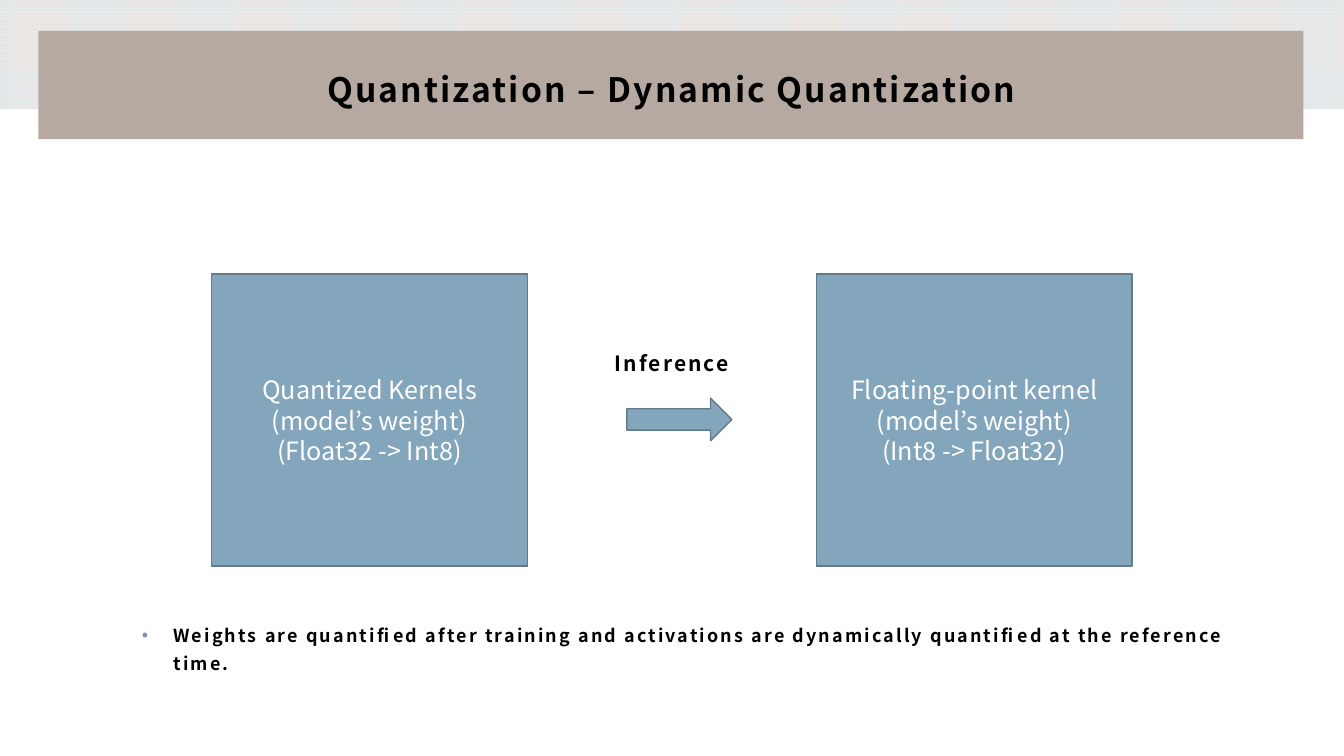
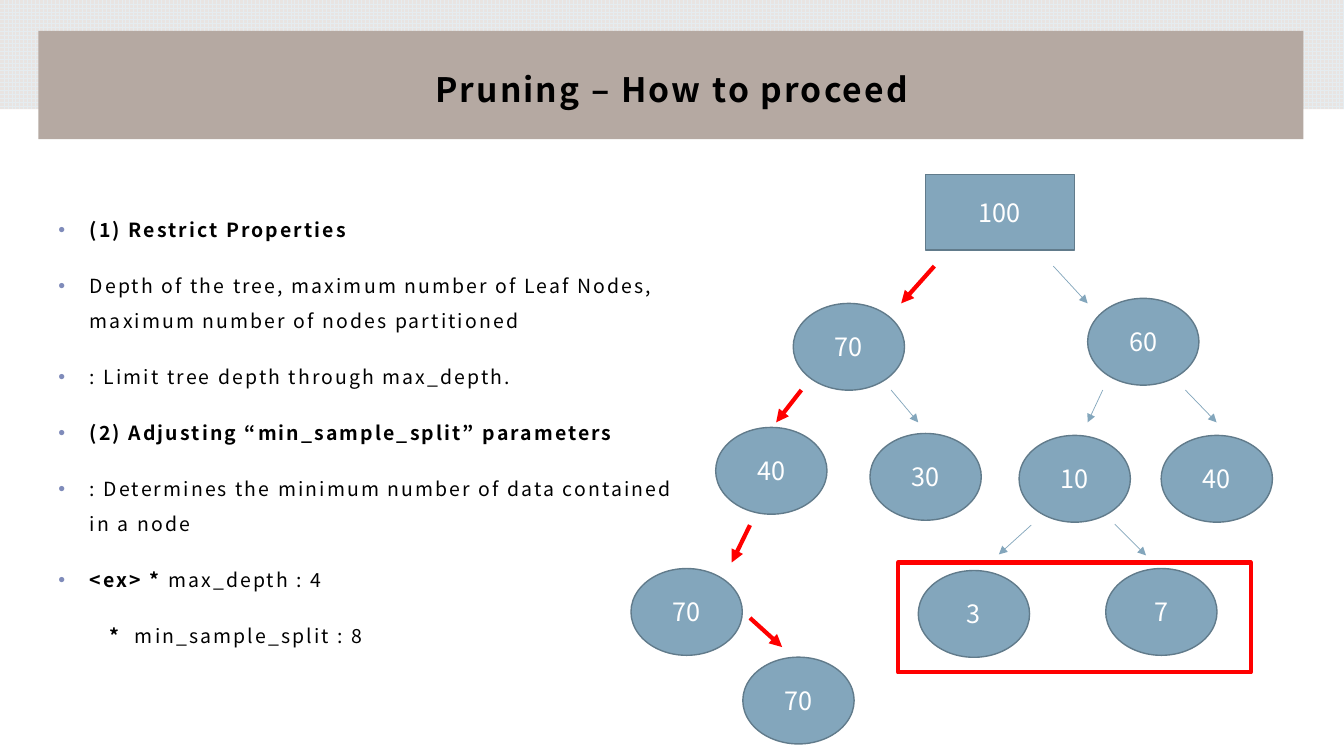
"""Build two slides on shrinking models: quantization and pruning."""
import lxml.etree
import pptx
import pptx.dml.color
import pptx.enum.dml
import pptx.enum.shapes
import pptx.enum.text
import pptx.oxml.ns
import pptx.util

Pt = pptx.util.Pt
Kind = pptx.enum.shapes.MSO_SHAPE
Align = pptx.enum.text.PP_ALIGN
Mid = pptx.enum.text.MSO_ANCHOR.MIDDLE
COLORS = {
    "ink": "000000", "paper": "FFFFFF", "band": "B5A9A2", "grid": "E5ECF0",
    "ground": "E8E4E2", "node": "83A6BC", "edge": "617B8B", "mark": "FF0000",
    "dot": "7F8BBA",
}
FONT = "Noto Sans CJK JP"


def hue(name):
    return pptx.dml.color.RGBColor.from_string(COLORS[name])


def add(parent, tag, **attrs):
    return lxml.etree.SubElement(parent, pptx.oxml.ns.qn(tag), attrs)


def write(par, text, size=18, color="paper", bold=False, track=0, align=None,
          lead=None, before=None, left=0, hang=0, dot=False):
    par.alignment = align
    par.line_spacing = lead
    if before is not None:
        par.space_before = Pt(before)
    props = par._p.get_or_add_pPr()
    props.set("marL", str(Pt(left)))
    props.set("indent", str(Pt(-hang)))
    if dot:
        add(add(props, "a:buClr"), "a:srgbClr", val=COLORS["dot"])
        add(props, "a:buFont", typeface="Arial")
        add(props, "a:buChar", char="•")
    runs = [(text, bold)] if isinstance(text, str) else text
    for words, heavy in runs:
        run = par.add_run()
        run.text = words
        run.font.name, run.font.size = FONT, Pt(size)
        run.font.bold, run.font.color.rgb = heavy, hue(color)
        if track:
            run._r.get_or_add_rPr().set("spc", str(int(track * 100)))


class Deck:
    body = dict(color="ink", track=1.5, before=15)
    point = dict(body, left=22.5, hang=22.5, dot=True)

    def __init__(self):
        self.show = pptx.Presentation()
        self.show.slide_width, self.show.slide_height = Pt(960), Pt(540)
        self.slide = None

    def start(self):
        self.slide = self.show.slides.add_slide(self.show.slide_layouts[6])
        grid = self.shape(Kind.RECTANGLE, 0, 0, 960, 78, line=None)
        grid.fill.patterned()
        grid.fill.pattern = pptx.enum.dml.MSO_PATTERN.LARGE_GRID
        grid.fill.fore_color.rgb = hue("grid")
        grid.fill.back_color.rgb = hue("ground")
        self.shape(Kind.RECTANGLE, 27.5, 22, 903.5, 77.5, fill="band", line=None)

    def title(self, text):
        frame = self.box(50.4, 37.5, 859, 54, [(text, dict(
            size=24, color="ink", bold=True, track=1.5, align=Align.CENTER,
            lead=0.9))])
        frame.vertical_anchor = Mid
        frame.margin_left = frame.margin_right = frame.margin_top = Pt(8.64)
        frame.margin_bottom = Pt(7.2)

    def box(self, x, y, w, h, pars):
        frame = self.slide.shapes.add_textbox(Pt(x), Pt(y), Pt(w), Pt(h)).text_frame
        frame.word_wrap = True
        self.fill(frame, pars)
        return frame

    def fill(self, frame, pars):
        for i, (text, style) in enumerate(pars):
            par = frame.add_paragraph() if i else frame.paragraphs[0]
            write(par, text, **style)

    def shape(self, kind, x, y, w, h, lines=(), fill="node", line="edge", width=1):
        item = self.slide.shapes.add_shape(kind, Pt(x), Pt(y), Pt(w), Pt(h))
        item.shadow.inherit = False
        item.fill.solid()
        item.fill.fore_color.rgb = hue(fill)
        if line:
            item.line.color.rgb, item.line.width = hue(line), Pt(width)
        else:
            item.line.fill.background()
        item.text_frame.vertical_anchor = Mid
        self.fill(item.text_frame, [(t, dict(align=Align.CENTER)) for t in lines])
        return item

    def arrow(self, x, y, tox, toy, color="node", width=0.5):
        item = self.slide.shapes.add_connector(
            pptx.enum.shapes.MSO_CONNECTOR.STRAIGHT, Pt(x), Pt(y), Pt(tox), Pt(toy))
        item.line.color.rgb, item.line.width = hue(color), Pt(width)
        props = item.element.spPr
        add(props.find(pptx.oxml.ns.qn("a:ln")), "a:tailEnd", type="triangle")
        add(props, "a:effectLst")


def quant(deck):
    deck.start()
    deck.title("Quantization – Dynamic Quantization")
    deck.box(432, 239.8, 129, 30, [
        ("Inference", dict(deck.body, size=15, bold=True, lead=1.4))])
    kernels = [("Quantized Kernels", "(Float32 -> Int8)"),
               ("Floating-point kernel", "(Int8 -> Float32)")]
    for i, (name, cast) in enumerate(kernels):
        deck.shape(Kind.RECTANGLE, 151.2 + 432 * i, 195.8, 225.5, 208.5,
                   [name, "(model’s weight)", cast])
    deck.shape(Kind.RIGHT_ARROW, 447.8, 284.4, 75, 30.5)
    deck.box(94.3, 437.8, 824.4, 46, [(
        "Weights are quantified after training and activations are dynamically "
        "quantified at the reference time.",
        dict(deck.point, size=12.8, bold=True, lead=1.3))])


def prune(deck):
    deck.start()
    deck.shape(Kind.RECTANGLE, 641.5, 401.8, 252, 78.5,
               fill="paper", line="mark", width=3)
    deck.title("Pruning – How to proceed")
    plain = dict(deck.point, size=13.9, lead=1.5)
    head = dict(plain, bold=True)
    last = dict(plain, dot=False, left=54.7, hang=18)
    deck.box(34.6, 144, 460, 342.7, [
        ("(1) Restrict Properties", head),
        ("Depth of the tree, maximum number of Leaf Nodes, "
         "maximum number of nodes partitioned", plain),
        (": Limit tree depth through max_depth.", plain),
        ("(2) Adjusting “min_sample_split” parameters", head),
        (": Determines the minimum number of data contained in a node", plain),
        ([("<ex> * ", True), ("max_depth : 4", False)], plain),
        ([("*\t", True), ("min_sample_split : 8", False)], last),
    ])
    deck.shape(Kind.RECTANGLE, 661, 124.5, 106.5, 54, ["100"])
    nodes = [
        ("70", 566.6, 216.7), ("60", 776.9, 213.1),
        ("40", 511.2, 305.3), ("30", 621.4, 309.6),
        ("10", 727.9, 311), ("40", 829.4, 311),
        ("70", 450.7, 406.1), ("3", 655.9, 407.5), ("7", 789.8, 406.1),
        ("70", 530.6, 469.4),
    ]
    for count, x, y in nodes:
        deck.shape(Kind.OVAL, x, y, 79.5, 62, [count])
    thin = [
        (752.4, 190.1, 776.9, 216.7), (636.5, 278.6, 655.9, 301.7),
        (787.7, 278.6, 776.9, 301.7), (846.7, 278.6, 869, 301.7),
        (736.6, 375.1, 713.5, 396), (796.3, 374.4, 818.6, 396.7),
    ]
    thick = [
        (667.4, 190.1, 643.7, 216.7), (572.4, 278.6, 554.4, 301.7),
        (535.7, 375.1, 522.7, 401.8), (535.7, 441.4, 558.7, 462.2),
    ]
    for ends in thin:
        deck.arrow(*ends)
    for ends in thick:
        deck.arrow(*ends, color="mark", width=3)


def main():
    deck = Deck()
    quant(deck)
    prune(deck)
    deck.show.save("out.pptx")


if __name__ == "__main__":
    main()
